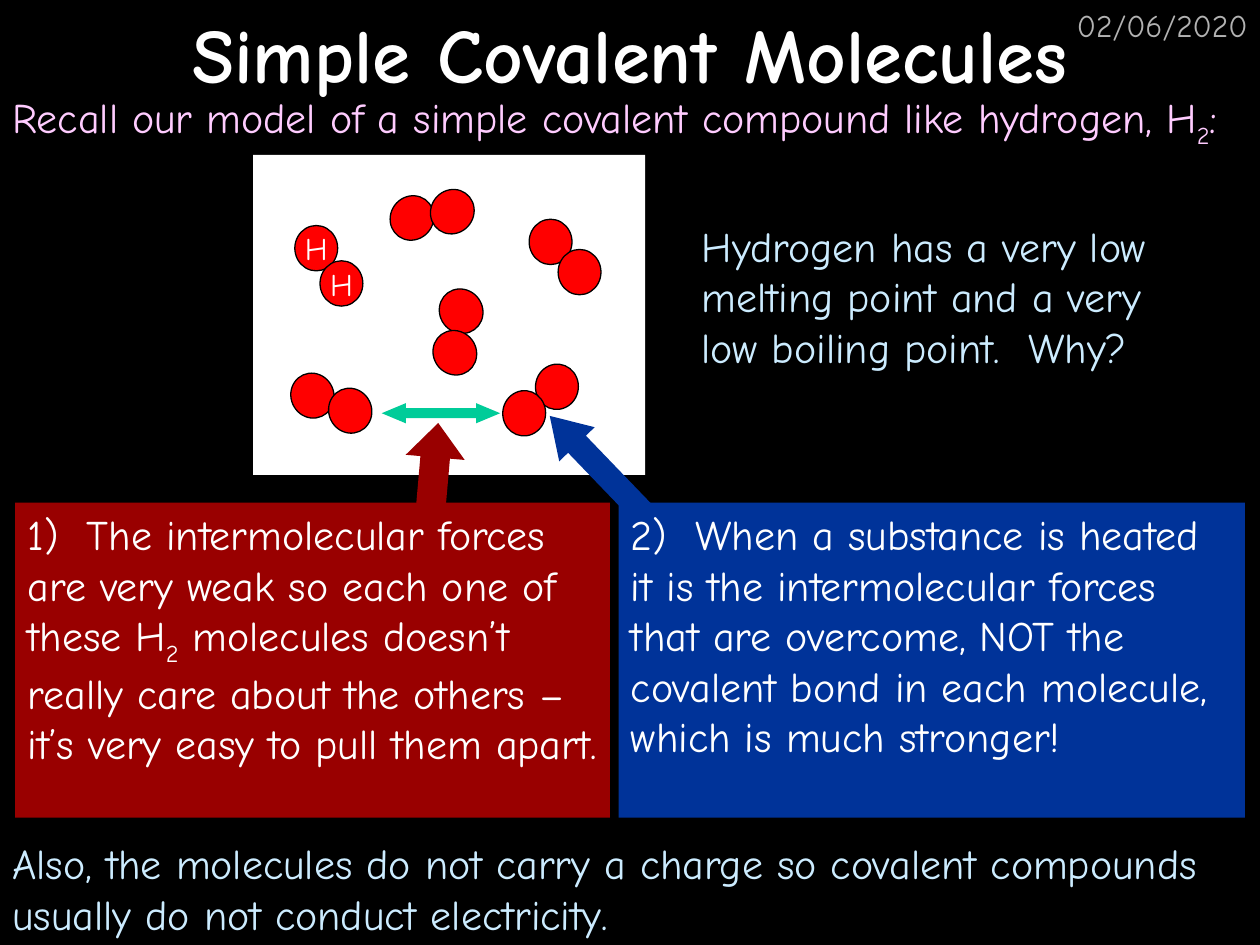
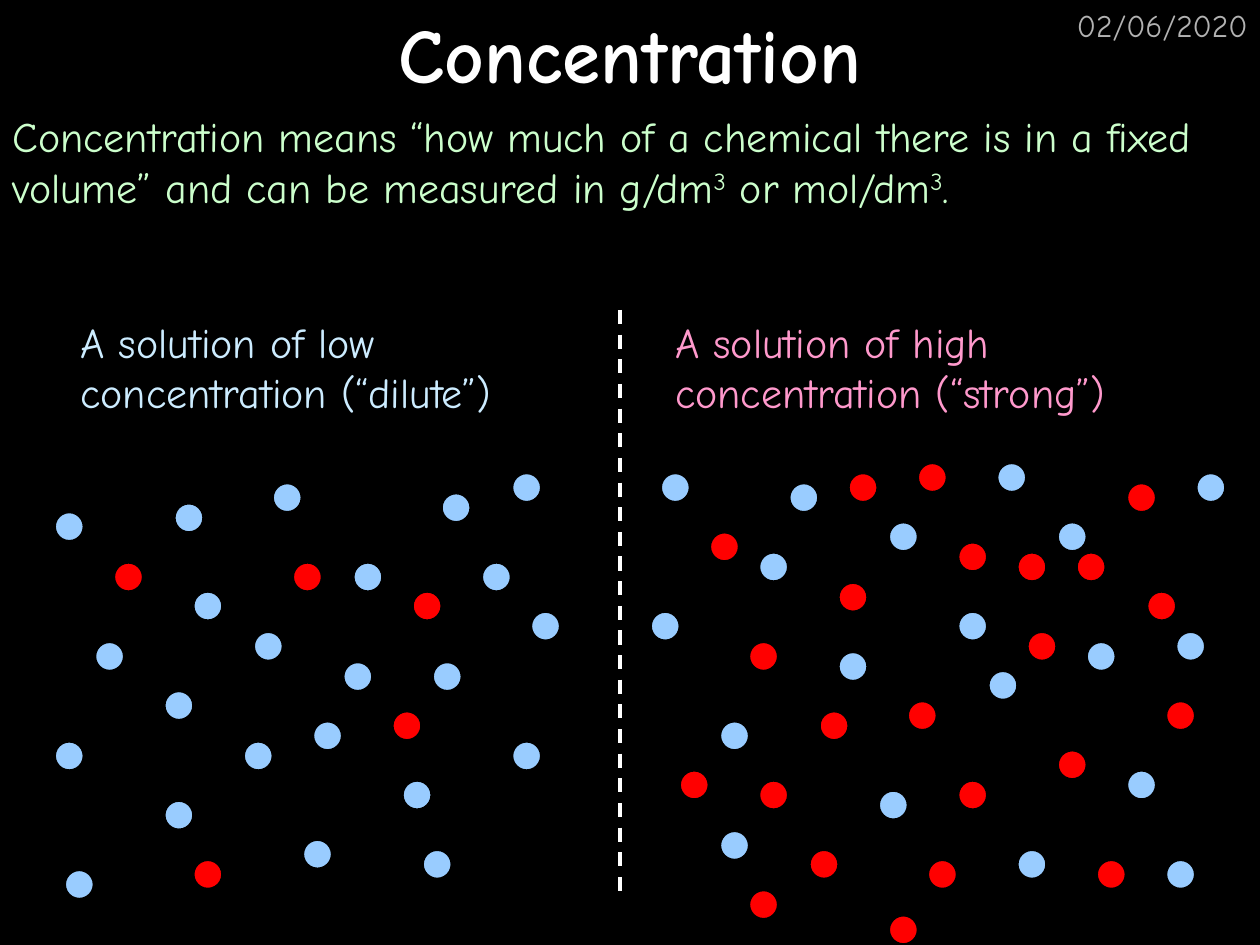
from dataclasses import dataclass

from lxml import etree
from pptx import Presentation
from pptx import util as u
from pptx.dml.color import RGBColor
from pptx.enum import dml, shapes, text
from pptx.oxml import ns

PX = u.Inches(1) // 100
SHAPE = shapes.MSO_SHAPE
ALIGN = text.PP_ALIGN
ANCHOR = text.MSO_ANCHOR


@dataclass(frozen=True)
class Theme:
    font: str = "Comic Neue"
    title_size: int = 44
    body_size: int = 24
    small_size: int = 18
    black: str = "000000"
    white: str = "FFFFFF"
    grey: str = "B2B2B2"
    pink: str = "FFCCFF"
    rose: str = "FF99CC"
    ice: str = "CCECFF"
    mint: str = "CCFFCC"
    red: str = "FF0000"
    dark_red: str = "990000"
    dark_blue: str = "003399"
    teal: str = "00CC99"
    light_blue: str = "99CCFF"


THEME = Theme()


@dataclass(frozen=True)
class Box:
    left: int
    top: int
    width: int
    height: int

    def emu(self) -> tuple[int, int, int, int]:
        return self.left * PX, self.top * PX, self.width * PX, self.height * PX


@dataclass(frozen=True)
class Raised:
    """A run set off the baseline by a percentage of its size."""
    text: str
    percent: int


SUB_2 = Raised("2", -25)
SUPER_3 = Raised("3", 30)
Words = tuple[str | Raised, ...]


@dataclass(frozen=True)
class Label:
    words: Words
    color: str
    box: Box


@dataclass(frozen=True)
class Arrow:
    kind: SHAPE
    box: Box
    color: str
    head: float
    rotation: float = 0


@dataclass(frozen=True)
class Molecule:
    """Two touching atoms, given by their top left corners."""
    atoms: tuple[tuple[int, int], tuple[int, int]]
    rotation: float = 0
    symbol: str = ""


@dataclass(frozen=True)
class Solution:
    caption: Label
    solvent: tuple[tuple[int, int], ...]
    solute: tuple[tuple[int, int], ...]


DATE = Label(("02/06/2020",), THEME.grey, Box(792, 0, 208, 50))
TITLE_BOX = Box(0, 0, 1000, 83)

MODEL_PANEL = Box(201, 123, 311, 254)
ATOM_WIDTH, ATOM_HEIGHT = 34, 36
MOLECULES = (
    Molecule(((234, 179), (254, 207)), symbol="H"),
    Molecule(((424, 290), (398, 311)), 96.7),
    Molecule(((309, 156), (341, 151)), 305.8),
    Molecule(((231, 296), (261, 308)), 335.8),
    Molecule(((348, 230), (343, 263)), 53.8),
    Molecule(((420, 174), (443, 198))),
)
MODEL_LABELS = (
    Label(("Recall our model of a simple covalent compound like hydrogen, H", SUB_2, ":"),
          THEME.pink, Box(0, 68, 1000, 90)),
    Label(("Hydrogen has a very low melting point and a very low boiling point.  Why?",),
          THEME.ice, Box(547, 170, 378, 170)),
    Label(("Also, the molecules do not carry a charge so covalent compounds "
           "usually do not conduct electricity.",),
          THEME.ice, Box(0, 660, 1000, 90)),
)
FORCE_ARROW = Arrow(SHAPE.LEFT_RIGHT_ARROW, Box(303, 320, 94, 16), THEME.teal, 1.196)
EXPLANATIONS = (
    (Arrow(SHAPE.RIGHT_ARROW, Box(288, 367, 110, 47), THEME.dark_red, 0.582, 275),
     Label(("1)  The intermolecular forces are very weak so each one of these H", SUB_2,
            " molecules doesn’t really care about the others – "
            "it’s very easy to pull them apart."),
           THEME.white, Box(12, 399, 472, 250))),
    (Arrow(SHAPE.LEFT_ARROW, Box(417, 356, 126, 39), THEME.dark_blue, 0.8, 46.1),
     Label(("2)  When a substance is heated it is the intermolecular forces that are "
            "overcome, NOT the covalent bond in each molecule, which is much stronger!",),
           THEME.white, Box(491, 399, 497, 250))),
)

DEFINITION = Label(
    ("Concentration means “how much of a chemical there is in a fixed volume” "
     "and can be measured in g/dm", SUPER_3, " or mol/dm", SUPER_3, "."),
    THEME.mint, Box(0, 83, 1000, 90))
DIVIDER_X, DIVIDER_TOP, DIVIDER_BOTTOM = 492, 246, 711
PARTICLE_SIZE = 24
SOLUTIONS = (
    Solution(
        Label(("A solution of low concentration (“dilute”)",), THEME.ice,
              Box(54, 246, 411, 90)),
        solvent=(
            (130, 635), (248, 572), (280, 446), (343, 525), (201, 501), (138, 399),
            (75, 509), (193, 588), (335, 674), (406, 588), (421, 485), (350, 391),
            (406, 375), (382, 446), (272, 525), (216, 383), (153, 469), (43, 406),
            (43, 588), (130, 548), (51, 690), (240, 666), (319, 619)),
        solute=((311, 564), (232, 446), (90, 446), (153, 682), (327, 469))),
    Solution(
        Label(("A solution of high concentration (“strong”)",), THEME.rose,
              Box(526, 246, 411, 90)),
        solvent=(
            (524, 375), (602, 438), (705, 414), (894, 611), (571, 572), (697, 627),
            (784, 532), (839, 414), (933, 501), (949, 375), (665, 517), (571, 659),
            (807, 674), (862, 509), (760, 485), (791, 367), (626, 383), (516, 485),
            (925, 682)),
        solute=(
            (650, 564), (594, 509), (563, 422), (728, 367), (807, 438), (894, 383),
            (910, 469), (925, 556), (839, 595), (720, 556), (760, 619), (870, 682),
            (705, 726), (642, 674), (539, 611), (665, 462), (673, 375), (760, 430),
            (815, 501), (854, 438), (602, 619), (736, 682), (594, 706))),
)


def write(shape, words: Words, color: str, size: int = THEME.body_size,
          align: ALIGN = ALIGN.LEFT, anchor: ANCHOR = ANCHOR.TOP,
          bold: bool = False, wrap: bool = True) -> None:
    frame = shape.text_frame
    frame.word_wrap = wrap
    frame.auto_size = text.MSO_AUTO_SIZE.NONE
    frame.vertical_anchor = anchor
    paragraph = frame.paragraphs[0]
    paragraph.alignment = align
    paragraph.font.name = THEME.font
    paragraph.font.size = u.Pt(size)
    paragraph.font.bold = bold
    paragraph.font.color.rgb = RGBColor.from_string(color)
    for word in words:
        run = paragraph.add_run()
        if isinstance(word, Raised):
            run.text = word.text
            run._r.get_or_add_rPr().set("baseline", str(word.percent * 1000))
        else:
            run.text = word


def add_label(slide, label: Label, size: int = THEME.body_size,
              align: ALIGN = ALIGN.LEFT) -> None:
    write(slide.shapes.add_textbox(*label.box.emu()), label.words, label.color, size, align)


def add_filled(slide, kind: SHAPE, box: Box, color: str, outline: float = 0,
               rotation: float = 0):
    """Add a preset shape; an outline of 0 points means no line."""
    shape = slide.shapes.add_shape(kind, *box.emu())
    shape.shadow.inherit = False
    shape.rotation = rotation
    shape.fill.solid()
    shape.fill.fore_color.rgb = RGBColor.from_string(color)
    if outline:
        shape.line.color.rgb = RGBColor.from_string(THEME.black)
        shape.line.width = u.Pt(outline)
    else:
        shape.line.fill.background()
    return shape


def add_arrow(slide, arrow: Arrow) -> None:
    shape = add_filled(slide, arrow.kind, arrow.box, arrow.color, rotation=arrow.rotation)
    shape.adjustments[0] = 0.5
    shape.adjustments[1] = arrow.head


def add_molecule(slide, molecule: Molecule) -> None:
    width, height = ATOM_WIDTH, ATOM_HEIGHT
    if 45 < molecule.rotation % 180 < 135:
        width, height = height, width
    for left, top in molecule.atoms:
        atom = add_filled(slide, SHAPE.OVAL, Box(left, top, width, height), THEME.red,
                          0.75, molecule.rotation)
        if molecule.symbol:
            write(atom, (molecule.symbol,), THEME.white, THEME.small_size,
                  ALIGN.CENTER, ANCHOR.MIDDLE, wrap=False)


def add_divider(slide) -> None:
    line = slide.shapes.add_connector(shapes.MSO_CONNECTOR.STRAIGHT, DIVIDER_X * PX,
                                      DIVIDER_TOP * PX, DIVIDER_X * PX, DIVIDER_BOTTOM * PX)
    line.line.color.rgb = RGBColor.from_string(THEME.white)
    line.line.width = u.Pt(2)
    line.line.dash_style = dml.MSO_LINE.DASH
    etree.SubElement(line._element.spPr, ns.qn("a:effectLst"))


def add_solution(slide, solution: Solution) -> None:
    for color, particles in ((THEME.light_blue, solution.solvent),
                             (THEME.red, solution.solute)):
        for left, top in particles:
            box = Box(left, top, PARTICLE_SIZE, PARTICLE_SIZE)
            add_filled(slide, SHAPE.OVAL, box, color, 2)


def add_titled_slide(presentation, title: str):
    slide = presentation.slides.add_slide(presentation.slide_layouts.get_by_name("Title Only"))
    slide.background.fill.solid()
    slide.background.fill.fore_color.rgb = RGBColor.from_string(THEME.black)
    add_label(slide, DATE, THEME.small_size, ALIGN.RIGHT)
    heading = slide.shapes.title
    heading.left, heading.top, heading.width, heading.height = TITLE_BOX.emu()
    write(heading, (title,), THEME.white, THEME.title_size, ALIGN.CENTER, ANCHOR.MIDDLE,
          bold=True)
    return slide


def build_molecules_slide(presentation) -> None:
    slide = add_titled_slide(presentation, "Simple Covalent Molecules")
    add_filled(slide, SHAPE.RECTANGLE, MODEL_PANEL, THEME.white)
    for molecule in MOLECULES:
        add_molecule(slide, molecule)
    for label in MODEL_LABELS:
        add_label(slide, label)
    add_arrow(slide, FORCE_ARROW)
    for arrow, label in EXPLANATIONS:
        add_arrow(slide, arrow)
        panel = add_filled(slide, SHAPE.RECTANGLE, label.box, arrow.color)
        write(panel, label.words, label.color)


def build_concentration_slide(presentation) -> None:
    slide = add_titled_slide(presentation, "Concentration")
    add_label(slide, DEFINITION)
    for solution in SOLUTIONS:
        add_label(slide, solution.caption)
    add_divider(slide)
    for solution in SOLUTIONS:
        add_solution(slide, solution)


def main() -> None:
    presentation = Presentation()
    presentation.slide_width = 1000 * PX
    presentation.slide_height = 750 * PX
    build_molecules_slide(presentation)
    build_concentration_slide(presentation)
    presentation.save("out.pptx")


if __name__ == "__main__":
    main()
